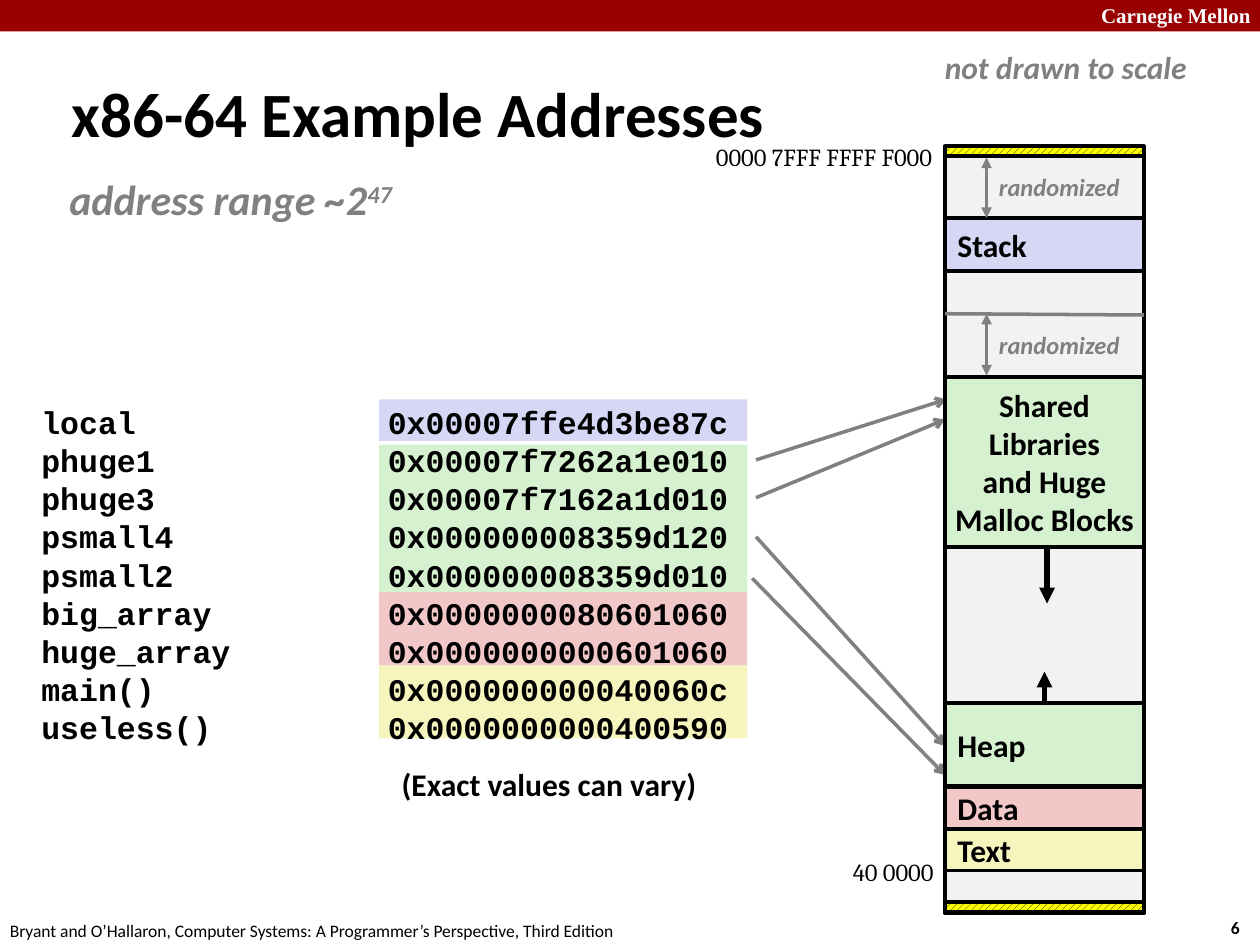
from lxml import etree
from pptx import Presentation
from pptx.dml.color import RGBColor
from pptx.enum.dml import MSO_PATTERN
from pptx.enum.shapes import MSO_CONNECTOR, MSO_SHAPE
from pptx.enum.text import MSO_ANCHOR, MSO_AUTO_SIZE, PP_ALIGN
from pptx.oxml.ns import qn
from pptx.util import Pt

RECT = MSO_SHAPE.RECTANGLE
STRAIGHT = MSO_CONNECTOR.STRAIGHT
HATCH = MSO_PATTERN.WIDE_UPWARD_DIAGONAL
TOP, MIDDLE = MSO_ANCHOR.TOP, MSO_ANCHOR.MIDDLE
LEFT, CENTER, RIGHT = PP_ALIGN.LEFT, PP_ALIGN.CENTER, PP_ALIGN.RIGHT
NO_FIT = MSO_AUTO_SIZE.NONE

SCALE = 9144
BLACK, WHITE, GRAY, PALE = "000000", "FFFFFF", "808080", "F2F2F2"
RED, BLUE, GREEN, PINK, CREAM = "990000", "D6D6F5", "D5F1CF", "F1C7C7", "F6F5BD"
YELLOW = "FFFF00"


def px(n):
    return n * SCALE


def rgb(code):
    return RGBColor.from_string(code)


class Deck:
    face = "Calibri"

    def __init__(self):
        self.prs = Presentation()
        self.prs.slide_width, self.prs.slide_height = px(1000), px(750)
        self.slide = self.prs.slides.add_slide(self.prs.slide_layouts[5])
        self.shapes = self.slide.shapes

    def run(self, para, text, size, color=BLACK, face=None, bold=True, slant=False):
        run = para.add_run()
        run.text = text
        font = run.font
        font.name, font.size = face or self.face, Pt(size)
        font.bold, font.italic = bold, slant
        font.color.rgb = rgb(color)
        return run

    def frame(self, shape, wrap, anchor=TOP, side=10):
        frame = shape.text_frame
        frame.word_wrap, frame.auto_size = wrap, NO_FIT
        frame.vertical_anchor = anchor
        frame.margin_left = frame.margin_right = px(side)
        frame.margin_top = frame.margin_bottom = px(5)
        return frame

    def lines(self, frame, texts, size, align=LEFT, **style):
        for i, text in enumerate(texts):
            para = frame.paragraphs[0] if i == 0 else frame.add_paragraph()
            para.alignment = align
            self.run(para, text, size, **style)

    def title(self, box, text):
        shape = self.shapes.title
        shape.left, shape.top, shape.width, shape.height = map(px, box)
        self.lines(self.frame(shape, True, MIDDLE), [text], 36)

    def label(self, box, text, size, wrap=False, side=10, **style):
        shape = self.shapes.add_textbox(*map(px, box))
        frame = self.frame(shape, wrap, side=side)
        self.lines(frame, [text], size, **style)
        return frame.paragraphs[0]

    def code(self, box, rows, tab):
        frame = self.frame(self.shapes.add_textbox(*map(px, box)), True)
        texts = [f"{name}\t{value}" for name, value in rows]
        self.lines(frame, texts, 18, face="Courier New")
        for para in frame.paragraphs:
            para.line_spacing = Pt(21.75)
            props = para._p.get_or_add_pPr()
            tabs = etree.SubElement(props, qn("a:tabLst"))
            etree.SubElement(tabs, qn("a:tab"), pos=str(px(tab)), algn="l")

    def rect(self, box, fill, edge=False):
        shape = self.shapes.add_shape(RECT, *map(px, box))
        shape.shadow.inherit = False
        shape.fill.solid()
        shape.fill.fore_color.rgb = rgb(fill)
        if edge:
            shape.line.color.rgb = rgb(BLACK)
            shape.line.width = Pt(2)
        else:
            shape.line.fill.background()
        return shape

    def cell(self, box, fill, texts, align=LEFT, side=10):
        shape = self.rect(box, fill, True)
        frame = self.frame(shape, True, MIDDLE, side)
        self.lines(frame, texts, 18, align)
        return shape

    def hatch(self, box):
        fill = self.rect(box, YELLOW, True).fill
        fill.patterned()
        fill.pattern = HATCH
        fill.fore_color.rgb, fill.back_color.rgb = rgb(BLACK), rgb(YELLOW)

    def line(self, ends, color=GRAY, width=2, head=None, tail=None):
        link = self.shapes.add_connector(STRAIGHT, *map(px, ends))
        link.line.color.rgb = rgb(color)
        link.line.width = Pt(width)
        edge = link.line._get_or_add_ln()
        for tag, kind in (("a:headEnd", head), ("a:tailEnd", tail)):
            if kind:
                etree.SubElement(edge, qn(tag), type=kind)
        etree.SubElement(link._element.spPr, qn("a:effectLst"))
        return link


def main():
    deck = Deck()
    deck.rect((0, 0, 1000, 25), RED)
    deck.label((864, -3, 143, 30), "Carnegie Mellon", 12,
               color=WHITE, face="Times New Roman")
    deck.label((967, 723, 37, 27), "6", 10)
    deck.label((-2, 725, 508, 27),
               "Bryant and O’Hallaron, Computer Systems: A Programmer’s Perspective, Third Edition",
               10, bold=False)

    for top, high, fill in ((528, 58, CREAM), (469, 59, PINK),
                            (317, 33, BLUE), (353, 117, GREEN)):
        deck.rect((301, top, 292, high), fill)
    deck.title((47, 58, 719, 63), "x86-64 Example Addresses")
    deck.code((23, 315, 617, 282), (
        ("local", "0x00007ffe4d3be87c"),
        ("phuge1", "0x00007f7262a1e010"),
        ("phuge3", "0x00007f7162a1d010"),
        ("psmall4", "0x000000008359d120"),
        ("psmall2", "0x000000008359d010"),
        ("big_array", "0x0000000080601060"),
        ("huge_array", "0x0000000000601060"),
        ("main()", "0x000000000040060c"),
        ("useless()", "0x0000000000400590"),
    ), 275)

    note = {"color": GRAY, "slant": True}
    span = deck.label((50, 133, 271, 51), "address range ~2", 24, side=5, **note)
    power = deck.run(span, "47", 24, **note)
    power._r.get_or_add_rPr().set("baseline", "30000")
    deck.label((740, 33, 213, 40), "not drawn to scale", 18, **note)
    deck.label((309, 602, 256, 40), "(Exact values can vary)", 18)

    for ends in ((600, 395, 750, 333), (600, 426, 750, 592),
                 (597, 459, 750, 615), (600, 365, 751, 317)):
        deck.line(ends, tail="arrow")

    left, wide = 750, 158
    deck.rect((left, 117, wide, 608), PALE, True)
    for top, high, fill, name in ((173, 42, BLUE, "Stack"), (658, 33, CREAM, "Text"),
                                  (625, 33, PINK, "Data"), (558, 66, GREEN, "Heap")):
        last = deck.cell((left, top, wide, high), fill, [name])
    deck.line((829, 558, 829, 533), BLACK, 3, tail="triangle").begin_connect(last, 0)
    deck.line((left, 249, left + wide, 250))
    deck.cell((left, 299, wide, 135), GREEN,
              ("Shared", "Libraries", "and Huge", "Malloc Blocks"), CENTER, 0)
    deck.line((831, 434, 831, 479), BLACK, 3, tail="triangle")
    for top in (116, 716):
        deck.hatch((left, top, wide, 8))

    for box, text in (((408, 108, 342, 34), "0000 7FFF FFFF F000"),
                      ((651, 675, 100, 34), "40 0000")):
        deck.label(box, text, 14, True, align=RIGHT, face="Cambria", bold=False)
    for top, end, text in ((125, 173, 132), (249, 298, 257)):
        deck.line((783, top, 783, end), head="triangle", tail="triangle")
        deck.label((783, text, 117, 34), "randomized", 14, **note)

    deck.prs.save("out.pptx")


if __name__ == "__main__":
    main()
